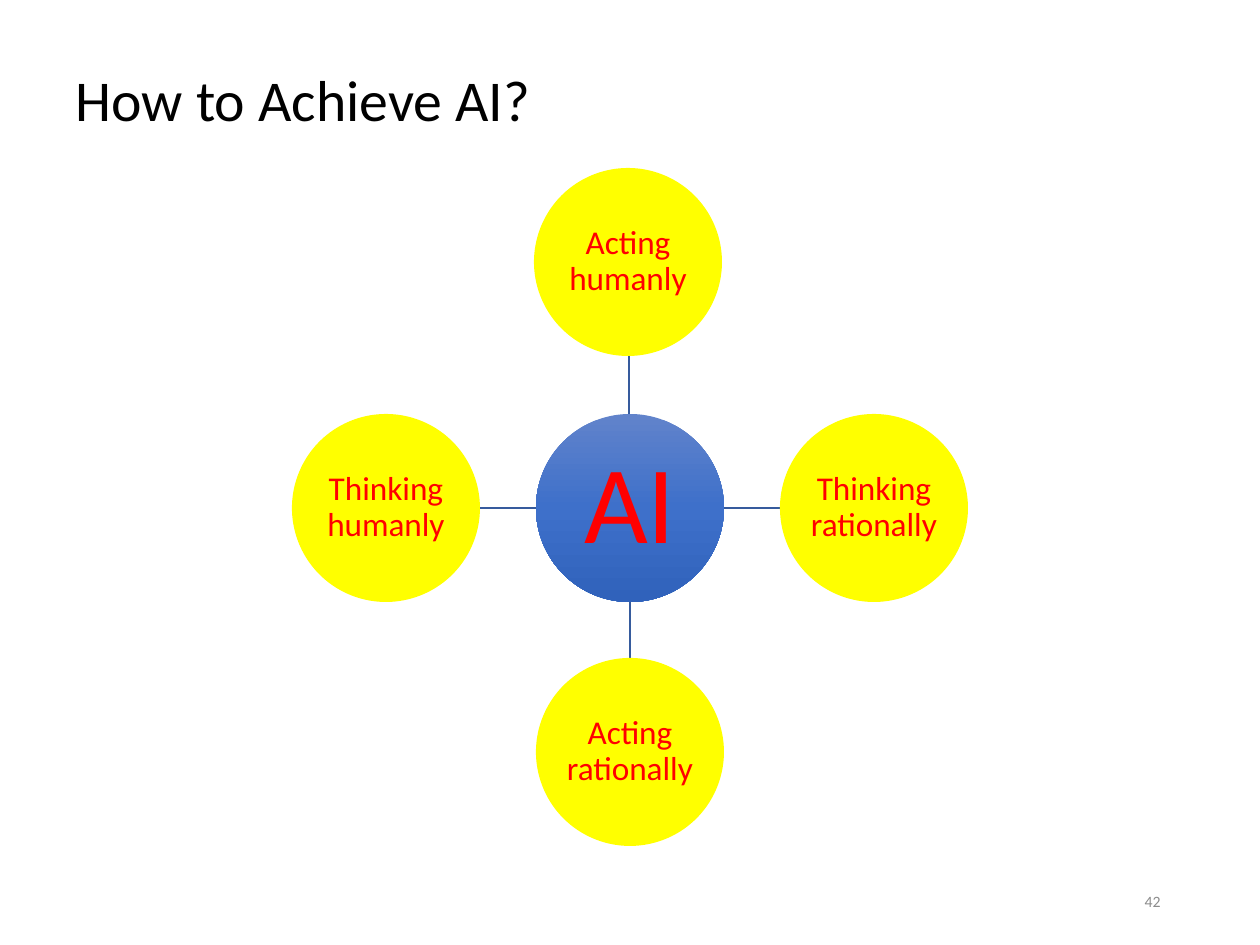
from copy import deepcopy
from dataclasses import dataclass

from lxml.etree import SubElement
from pptx import Presentation
from pptx.dml.color import RGBColor
from pptx.enum.shapes import MSO_CONNECTOR, MSO_SHAPE
from pptx.enum.text import MSO_ANCHOR, PP_ALIGN
from pptx.oxml.ns import qn
from pptx.util import Emu, Pt

PX = 914400 // 126  # EMU in one px


@dataclass(frozen=True)
class Theme:
    font: str = "Calibri"
    black: str = "000000"
    red: str = "FF0000"
    yellow: str = "FFFF00"
    gray: str = "8C8C8C"
    line: str = "365B9D"
    hub: tuple = ((0, "6183CB"), (0.5, "3E70CA"), (1, "3062BB"))
    title_size: int = 33
    hub_size: int = 63
    spoke_size: int = 19
    number_size: int = 9


THEME = Theme()
DIAMETER = 188
CENTER = (630, 508)
# Label and offset of each outer circle from the hub
SPOKES = (
    ("Acting humanly", -2, -246),
    ("Thinking rationally", 244, 0),
    ("Acting rationally", 0, 244),
    ("Thinking humanly", -244, 0),
)


def px(*lengths):
    return [Emu(length * PX) for length in lengths]


def write(shape, text, size, color, align, spacing=None):
    frame = shape.text_frame
    frame.word_wrap = True
    frame.vertical_anchor = MSO_ANCHOR.MIDDLE
    paragraph = frame.paragraphs[0]
    paragraph.alignment = align
    paragraph.line_spacing = spacing
    run = paragraph.add_run()
    run.text = text
    run.font.name = THEME.font
    run.font.size = Pt(size)
    run.font.color.rgb = RGBColor.from_string(color)


def add_title(slide, text):
    title = slide.shapes.title
    title.left, title.top, title.width, title.height = px(63, 38, 1134, 130)
    write(title, text, THEME.title_size, THEME.black, PP_ALIGN.LEFT, 0.9)


def add_circle(slide, x, y, text, size, inset):
    corner = px(x - DIAMETER // 2, y - DIAMETER // 2, DIAMETER, DIAMETER)
    circle = slide.shapes.add_shape(MSO_SHAPE.OVAL, *corner)
    circle.shadow.inherit = False
    circle.line.fill.background()
    circle.fill.solid()
    circle.fill.fore_color.rgb = RGBColor.from_string(THEME.yellow)
    frame = circle.text_frame
    frame.margin_left, frame.margin_top, frame.margin_right, frame.margin_bottom = px(*[inset] * 4)
    write(circle, text, size, THEME.red, PP_ALIGN.CENTER, 0.9)
    return circle


def fill_gradient(shape, stops):
    shape.fill.gradient()
    shape.fill.gradient_angle = 270  # counted anticlockwise: top to bottom
    stop_list = shape.fill._xPr.find(qn("a:gradFill")).find(qn("a:gsLst"))
    while len(stop_list) < len(stops):
        stop_list.append(deepcopy(stop_list[-1]))
    for stop, (position, color) in zip(shape.fill.gradient_stops, stops):
        stop.position = position
        stop.color.rgb = RGBColor.from_string(color)


def add_link(slide, x, y, dx, dy):
    # Runs from the rim of the hub to the rim of the outer circle
    radius = DIAMETER / 2
    near = radius / max(abs(dx), abs(dy))
    ends = (x + dx * near, y + dy * near, x + dx * (1 - near), y + dy * (1 - near))
    link = slide.shapes.add_connector(MSO_CONNECTOR.STRAIGHT, *px(*map(round, ends)))
    link.line.width = Pt(1)
    link.line.color.rgb = RGBColor.from_string(THEME.line)
    SubElement(link._element.spPr, qn("a:effectLst"))


def add_slide_number(slide, text):
    box = slide.shapes.add_textbox(*px(890, 876, 283, 50))
    write(box, text, THEME.number_size, THEME.gray, PP_ALIGN.RIGHT)


def main():
    presentation = Presentation()
    presentation.slide_width, presentation.slide_height = px(1260, 945)
    slide = presentation.slides.add_slide(presentation.slide_layouts[5])
    add_title(slide, "How to Achieve AI?")

    # Hub with its four spokes
    hub = add_circle(slide, *CENTER, "AI", THEME.hub_size, 5)
    fill_gradient(hub, THEME.hub)
    for label, dx, dy in SPOKES:
        add_link(slide, *CENTER, dx, dy)
        add_circle(slide, CENTER[0] + dx, CENTER[1] + dy, label, THEME.spoke_size, 1)

    add_slide_number(slide, "42")
    presentation.save("out.pptx")


if __name__ == "__main__":
    main()
